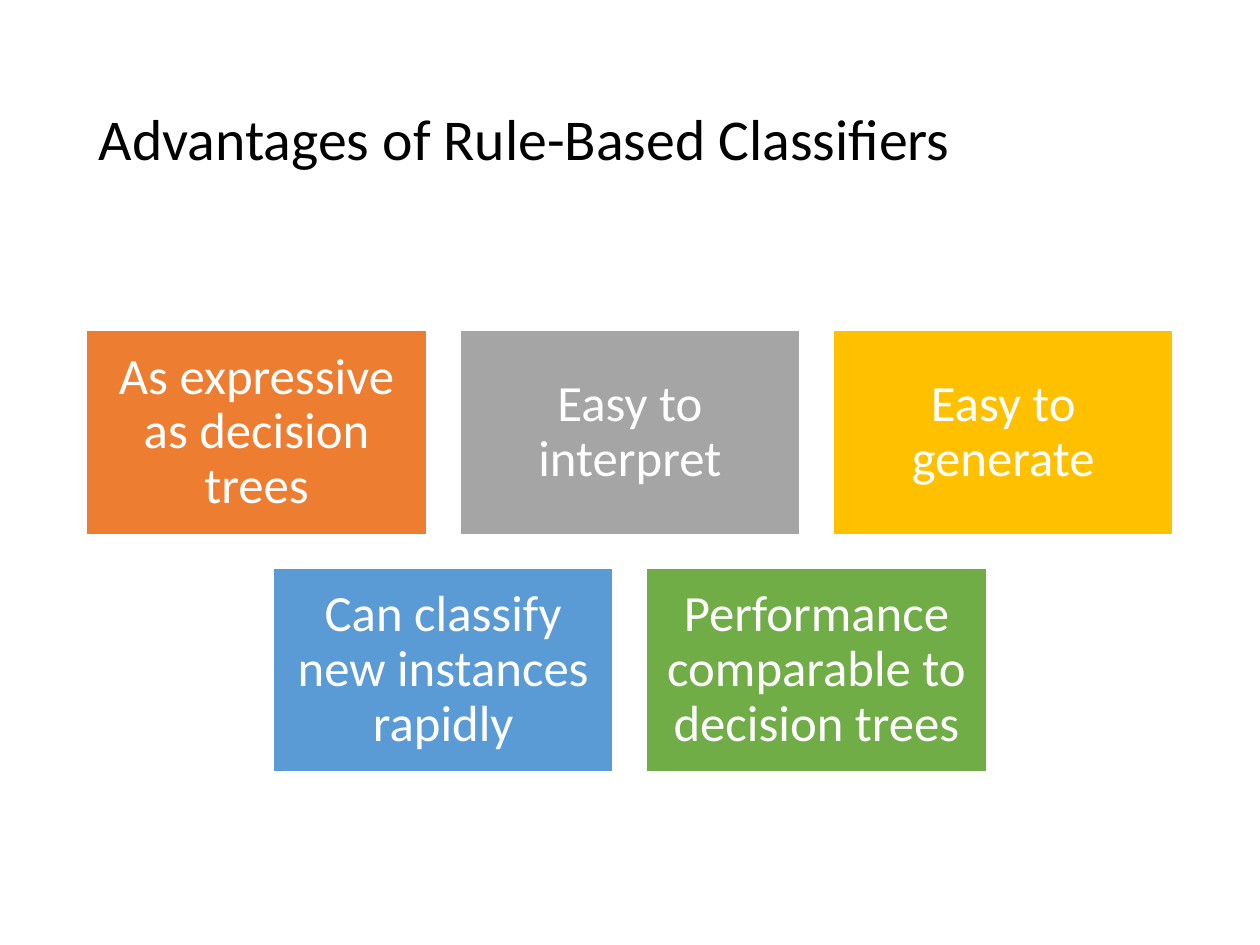
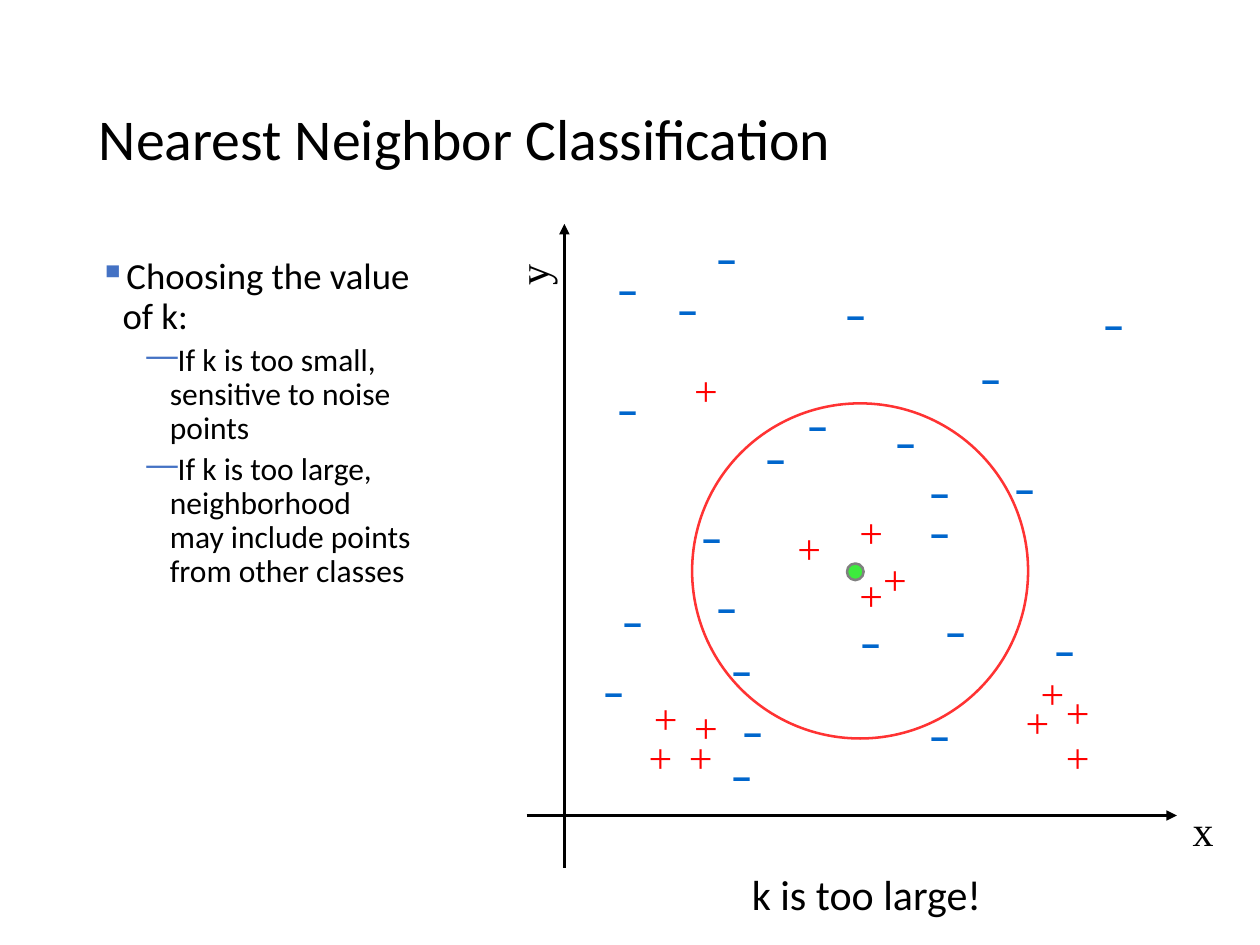
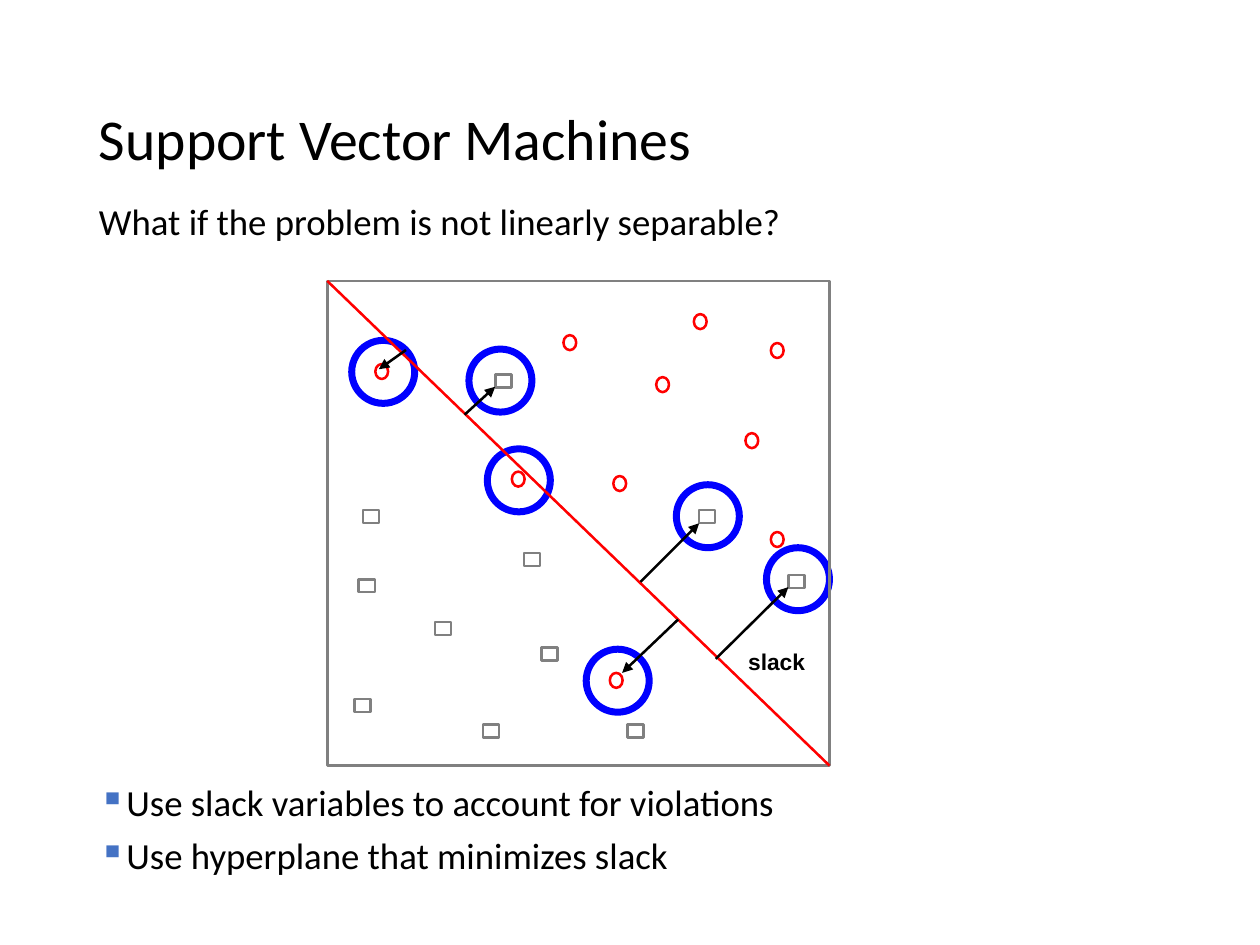
from dataclasses import dataclass

from lxml.etree import SubElement
from pptx import Presentation
from pptx.dml.color import RGBColor as Rgb
from pptx.enum.shapes import MSO_CONNECTOR as Link, MSO_SHAPE as Kind
from pptx.enum.text import MSO_ANCHOR as Anchor, PP_ALIGN as Align
from pptx.oxml.ns import qn
from pptx.util import Pt


@dataclass(frozen=True)
class Theme:
    """Colours, fonts and type sizes of the deck."""
    black: str = "000000"
    white: str = "FFFFFF"
    gray: str = "808080"
    red: str = "FF0000"
    coral: str = "FF3333"
    blue: str = "0000FF"
    ocean: str = "0066CC"
    lime: str = "3DEB3D"
    bullet: str = "4472C4"
    tiles: tuple = ("ED7D31", "A5A5A5", "FFC000", "5B9BD5", "70AD47")
    main: str = "Calibri"
    serif: str = "Times New Roman"
    sign: str = "Cabin"
    label: str = "Arial"
    title: float = 33
    tile: float = 29
    mark: float = 24
    body: float = 21
    sub: float = 18
    note: float = 13
    thin: float = 1.45
    thick: float = 4


T = Theme()

PLUS = [(88.5, 77), (183, 194), (183, 158), (65.5, 264), (88.5, 269.5), (62.5, 286.5),
        (85.5, 286.5), (286.5, 250), (278, 266.5), (301, 261), (196.5, 184.5),
        (147.5, 167), (301, 286.5)]
MINUS = [(203.5, 106.5), (271.5, 132.5), (175, 33.5), (252, 70), (183.5, 220.5),
         (294.5, 225.5), (232, 214.5), (223, 274), (36.5, 248.5), (47.5, 209),
         (93, 160.5), (101.5, 200.5), (110, 297), (116, 271.5), (110, 237), (44.5, 19),
         (322.5, 39), (153.5, 96.5), (223, 158), (44.5, 87.5), (223, 135),
         (129.5, 115.5), (101.5, 1.5), (79, 30.5)]
RINGS = [(14, 34), (91.5, 96), (81, 39), (148, 210.5), (199.5, 116.5), (251, 152.5)]
SQUARES = [(20.5, 131), (18, 170.5), (61.5, 195), (15.5, 239), (89, 253.5),
           (112.5, 155.5), (122.5, 209.5), (171.5, 253.5), (96, 53.5), (212.5, 131),
           (263.5, 168)]
DOTS = [(135, 31), (188, 55), (163.5, 111.5), (209.5, 19), (253.5, 35.5), (239, 87),
        (253.5, 143.5), (27.5, 47.5), (105.5, 109), (161.5, 224)]
SLACKS = [(179, 172, 212.5, 138.5), (222, 216, 263.5, 175), (78.5, 76.5, 96, 60.5),
          (200.5, 193.5, 168.5, 224), (45, 39.5, 29.5, 50.5)]


def style(par, size, color=T.black, face=T.main, bold=False):
    """Set the font of a paragraph."""
    font = par.font
    font.size, font.name, font.bold = Pt(size), face, bold
    font.color.rgb = Rgb.from_string(color)


def text(slide, box, words, size, color=T.black, face=T.main, bold=False):
    """Add a text box with one styled paragraph."""
    area = slide.shapes.add_textbox(*map(Pt, box))
    area.text_frame.word_wrap = True
    par = area.text_frame.paragraphs[0]
    par.text = words
    style(par, size, color, face, bold)
    return area


def shape(slide, kind, box, line, width=T.thin, fill=None):
    """Add a flat preset shape."""
    item = slide.shapes.add_shape(kind, *map(Pt, box))
    item.shadow.inherit = False
    if fill:
        item.fill.solid()
        item.fill.fore_color.rgb = Rgb.from_string(fill)
    else:
        item.fill.background()
    item.line.color.rgb = Rgb.from_string(line)
    item.line.width = Pt(width)
    return item


def stroke(slide, ends, color=T.black, arrow=True):
    """Add a straight line, with an arrowhead at its end if wanted."""
    item = slide.shapes.add_connector(Link.STRAIGHT, *map(Pt, ends))
    item.line.color.rgb = Rgb.from_string(color)
    item.line.width = Pt(T.thin)
    SubElement(item._element.spPr, qn("a:effectLst"))
    if arrow:
        SubElement(item.line._get_or_add_ln(), qn("a:tailEnd"), type="triangle")


def bullets(slide, box, items):
    """Add a list of (level, words) with coloured bullets."""
    area = slide.shapes.add_textbox(*map(Pt, box))
    frame = area.text_frame
    frame.word_wrap = True
    for pos, (level, words) in enumerate(items):
        par = frame.add_paragraph() if pos else frame.paragraphs[0]
        par.text, par.level, par.line_spacing = words, level, 0.9
        par.space_before = Pt((7.5, 3.8)[level])
        style(par, (T.body, T.sub)[level])
        props = par._p.get_or_add_pPr()
        props.set("marL", str(Pt((13.5, 40.5)[level])))
        props.set("indent", str(Pt(-13.5)))
        tint = SubElement(props, qn("a:buClr"))
        SubElement(tint, qn("a:srgbClr"), val=T.bullet)
        SubElement(props, qn("a:buChar"), char="▪—"[level])


def page(deck, title):
    """Add a blank slide with the shared title."""
    slide = deck.slides.add_slide(deck.slide_layouts[6])
    frame = text(slide, (49.5, 29, 621, 104), title, T.title).text_frame
    frame.vertical_anchor = Anchor.MIDDLE
    frame.paragraphs[0].line_spacing = 0.9
    return slide


def tiles(slide, box, rows, gap=19):
    """Lay out rows of coloured tiles, each row centred in the box."""
    left, top, width, height = box
    wide = (width - gap * 2) / 3
    high = (height - gap) / 2
    fills = iter(T.tiles)
    for row, names in enumerate(rows):
        used = len(names) * (wide + gap) - gap
        start = left + (width - used) / 2
        for col, name in enumerate(names):
            spot = (start + col * (wide + gap), top + row * (high + gap), wide, high)
            item = shape(slide, Kind.RECTANGLE, spot, T.white, 1, next(fills))
            frame = item.text_frame
            frame.word_wrap, frame.vertical_anchor = True, Anchor.MIDDLE
            frame.margin_left = frame.margin_right = Pt(8.7)
            frame.margin_top = frame.margin_bottom = Pt(8.7)
            par = frame.paragraphs[0]
            par.text, par.alignment, par.line_spacing = name, Align.CENTER, 0.9
            style(par, T.tile, T.white)


def plot(slide, box):
    """Draw the neighbour plot with axes, signs and circle."""
    left, top, width, height = box
    base, axis = top + 338, left + 21.5
    stroke(slide, (left, base, left + width, base))
    stroke(slide, (axis, top + height, axis, top))
    text(slide, (left + 373.5, top + 328, 28, 36), "x", T.mark, face=T.serif)
    text(slide, (left - 11, top + 10, 28, 36), "y", T.mark, face=T.serif).rotation = 270
    shape(slide, Kind.OVAL, (left + 94.5, top + 102.5, 192, 191.5), T.coral)
    shape(slide, Kind.OVAL, (left + 183, top + 194, 9.5, 9.5), T.gray, fill=T.lime)
    for sign, spots, color, face in (("+", PLUS, T.red, T.serif),
                                     ("–", MINUS, T.ocean, T.sign)):
        for x, y in spots:
            text(slide, (left + x, top + y, 35, 36), sign, T.mark, color, face)
    text(slide, (left + 121.5, top + 364.5, 157, 36), "k is too large!", T.mark)


def margin(slide, box):
    """Draw the vector machine figure with its slack arrows."""
    left, top, width, height = box

    def scatter(kind, spots, wide, high, color, line=T.thin):
        """Add one small shape at each spot."""
        for x, y in spots:
            shape(slide, kind, (left + x, top + y, wide, high), color, line)

    scatter(Kind.OVAL, RINGS, 36, 36, T.blue, T.thick)
    shape(slide, Kind.RECTANGLE, box, T.gray)
    scatter(Kind.RECTANGLE, SQUARES, 9.2, 7.4, T.gray)
    scatter(Kind.OVAL, DOTS, 7.3, 8.6, T.red)
    stroke(slide, (left, top, left + width, top + height), T.red, False)
    text(slide, (left + 233.5, top + 206, 52, 20), "slack", T.note, face=T.label, bold=True)
    for x, y, end, low in SLACKS:
        stroke(slide, (left + x, top + y, left + end, top + low))


def main():
    """Build and save the deck."""
    deck = Presentation()
    deck.slide_width, deck.slide_height = Pt(720), Pt(540)

    slide = page(deck, "Advantages of Rule-Based Classifiers")
    tiles(slide, (49.5, 188.8, 621, 252.6), [
        ("As expressive as decision trees", "Easy to interpret", "Easy to generate"),
        ("Can classify new instances rapidly", "Performance comparable to decision trees")])

    slide = page(deck, "Nearest Neighbor Classification")
    bullets(slide, (49.5, 144, 193, 343), [
        (0, "Choosing the value of k:"),
        (1, "If k is too small, sensitive to noise points"),
        (1, "If k is too large, neighborhood\vmay include points from other classes")])
    plot(slide, (301, 128, 371.5, 368))

    slide = page(deck, "Support Vector Machines")
    lead = text(slide, (49.5, 113, 621, 32),
                "What if the problem is not linearly separable?", T.body)
    lead.text_frame.paragraphs[0].line_spacing = 0.9
    bullets(slide, (49.5, 445, 621, 64), [
        (0, "Use slack variables to account for violations"),
        (0, "Use hyperplane that minimizes slack")])
    margin(slide, (187, 160.5, 287, 277))

    deck.save("out.pptx")


if __name__ == "__main__":
    main()
